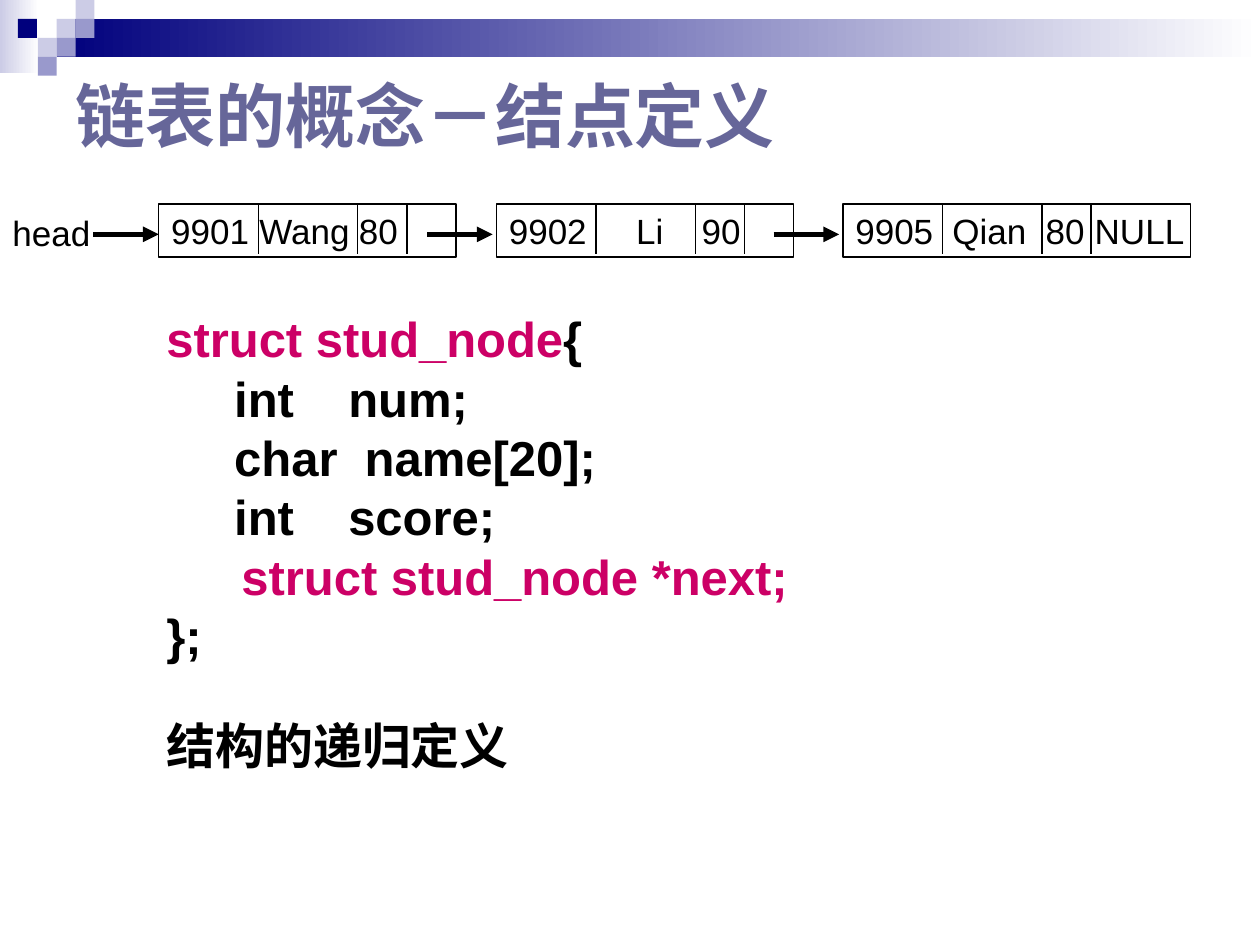
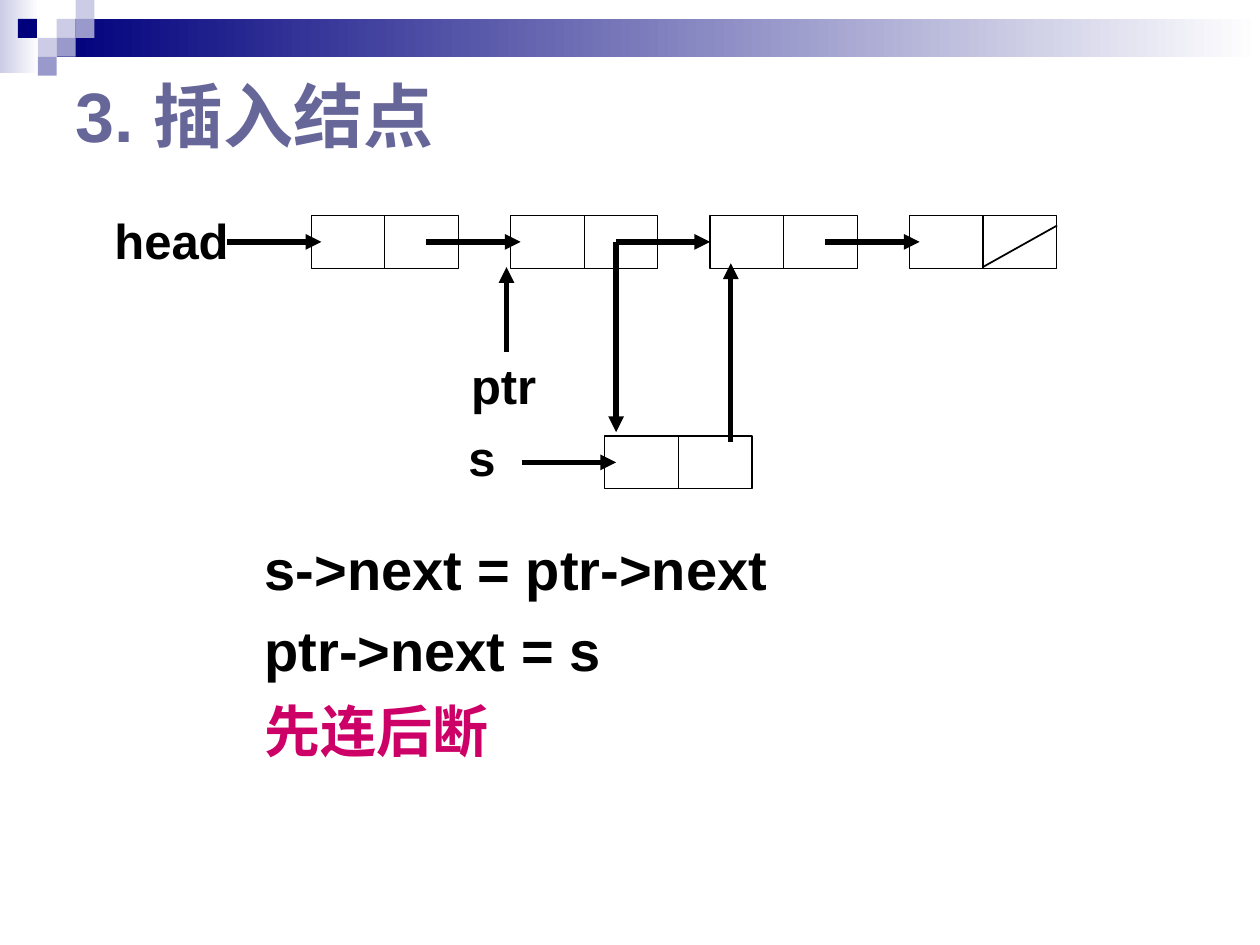
from lxml.etree import SubElement
from pptx import Presentation
from pptx.dml.color import RGBColor
from pptx.enum.shapes import MSO_CONNECTOR, MSO_SHAPE
from pptx.enum.text import MSO_ANCHOR, MSO_AUTO_SIZE, PP_ALIGN
from pptx.oxml.ns import qn
from pptx.util import Inches, Pt

COLORS = {
    "navy": "00007D", "pale": "CCCCE6", "lilac": "9999CC", "white": "FFFFFF",
    "title": "666699", "black": "000000", "accent": "CC0066",
}
FONT = "Arial"
HANGING = 3.8


def grid(units):
    """Length of grid units: the slide has 100 columns and 75 rows."""
    return Inches(units / 10)


def color(name):
    return RGBColor.from_string(COLORS[name])


class Deck:
    def __init__(self):
        self.presentation = Presentation()
        self.presentation.slide_width = grid(100)
        self.presentation.slide_height = grid(75)
        self.layout = self.presentation.slide_layouts[1]
        self.slide = None

    def start_slide(self, heading):
        first = self.slide is None
        self.slide = self.presentation.slides.add_slide(self.layout)
        if first:
            self.decorate_layout()
        title = self.slide.shapes.title
        self.place(title, 5, 5, 90, 8.1)
        title.text_frame.vertical_anchor = MSO_ANCHOR.MIDDLE
        line = title.text_frame.paragraphs[0]
        line.text = heading
        line.alignment = PP_ALIGN.LEFT
        self.style(line, 40, "title", bold=True)

    def decorate_layout(self):
        """Draw the corner mosaic and band, then move them into the layout."""
        step = 1.5
        mosaic = [(3, 1, "pale"), (4, 0, "pale"), (4, 1, "lilac"), (2, 2, "pale"),
                  (0.95, 1, "navy"), (3, 2, "lilac"), (2, 3, "lilac")]
        parts = [self.box(0, 0, 3.1, 5.8, gradient="pale"),
                 self.box(4.5, step, 95.5, 3, gradient="navy")]
        parts += [self.box(column * step, row * step, step, step, fill=tone)
                  for column, row, tone in mosaic]
        for order, part in enumerate(parts):
            part.element.nvSpPr.cNvPr.set("id", str(20 + order))
            self.layout.shapes.element.insert(2 + order, part.element)

    def place(self, placeholder, left, top, width, height):
        placeholder.left, placeholder.top = grid(left), grid(top)
        placeholder.width, placeholder.height = grid(width), grid(height)
        placeholder.text_frame.auto_size = MSO_AUTO_SIZE.NONE

    def style(self, paragraph, size, tone=None, bold=False):
        font = paragraph.font
        font.name, font.size, font.bold = FONT, Pt(size), bold
        if tone:
            font.color.rgb = color(tone)

    def body(self, lines, area, size, gaps, spacing=1.0, align=PP_ALIGN.LEFT):
        """Fill the body; each line is a list of (text, colour name) runs."""
        body = self.slide.placeholders[1]
        self.place(body, *area)
        frame = body.text_frame
        for index, (runs, gap) in enumerate(zip(lines, gaps)):
            line = frame.add_paragraph() if index else frame.paragraphs[0]
            properties = line._p.get_or_add_pPr()
            properties.set("marL", str(grid(HANGING)))
            properties.set("indent", str(-grid(HANGING)))
            SubElement(properties, qn("a:buNone"))
            line.alignment = align
            line.line_spacing = spacing
            line.space_before = Pt(gap)
            self.style(line, size, bold=True)
            for text, tone in runs:
                run = line.add_run()
                run.text = text
                run.font.color.rgb = color(tone)

    def box(self, left, top, width, height, fill=None, gradient=None):
        """Borderless when filled, otherwise a thin black outline."""
        box = self.slide.shapes.add_shape(
            MSO_SHAPE.RECTANGLE, grid(left), grid(top), grid(width), grid(height))
        box.shadow.inherit = False
        if gradient:
            box.fill.gradient()
            box.fill.gradient_angle = 0
            for stop, position, tone in zip(box.fill.gradient_stops, (0, 1), (gradient, "white")):
                stop.position = position
                stop.color.rgb = color(tone)
        elif fill:
            box.fill.solid()
            box.fill.fore_color.rgb = color(fill)
        else:
            box.fill.background()
        if fill or gradient:
            box.line.fill.background()
        else:
            box.line.color.rgb = color("black")
            box.line.width = Pt(0.75)
        return box

    def label(self, text, left, top, width, height, size, bold=False):
        label = self.slide.shapes.add_textbox(grid(left), grid(top), grid(width), grid(height))
        label.text_frame.word_wrap = False
        label.text_frame.auto_size = MSO_AUTO_SIZE.SHAPE_TO_FIT_TEXT
        line = label.text_frame.paragraphs[0]
        line.text = text
        self.style(line, size, "black", bold)

    def line(self, x1, y1, x2, y2, width=0.75):
        line = self.slide.shapes.add_connector(
            MSO_CONNECTOR.STRAIGHT, grid(x1), grid(y1), grid(x2), grid(y2))
        line.line.color.rgb = color("black")
        line.line.width = Pt(width)
        SubElement(line.element.spPr, qn("a:effectLst"))
        return line

    def arrow(self, x1, y1, x2, y2):
        arrow = self.line(x1, y1, x2, y2, width=3)
        SubElement(arrow.element.spPr.find(qn("a:ln")), qn("a:tailEnd"), type="triangle")
        return arrow

    def record(self, left, top, width, fields, stops):
        """A student record: fields at tab stops, parted by vertical lines."""
        record = self.box(left, top, width, 4.2)
        frame = record.text_frame
        frame.word_wrap = True
        frame.margin_right = 0
        frame.vertical_anchor = MSO_ANCHOR.MIDDLE
        line = frame.paragraphs[0]
        line.text = "\t".join(fields)
        line.alignment = PP_ALIGN.LEFT
        tabs = SubElement(line._p.get_or_add_pPr(), qn("a:tabLst"))
        for stop in stops:
            SubElement(tabs, qn("a:tab"), pos=str(grid(stop)), algn="l")
        self.style(line, 20, "black")
        for offset in (7.9, 15.8, 19.7):
            self.line(left + offset, top, left + offset, top + 4)

    def node(self, left, top):
        """A list node of a data cell and a link cell; returns the data cell."""
        cell = 5.84
        data = self.box(left, top, cell, 4.2)
        self.box(left + cell, top, cell, 4.2)
        return data


def build_definition(deck):
    deck.start_slide("链表的概念－结点定义")
    code = [
        [("struct stud_node", "accent"), ("{", "black")],
        [("     int    num;", "black")],
        [("     char  name[20];", "black")],
        [("     int    score;", "black")],
        [("\t  struct stud_node *next;", "accent")],
        [("};", "black")],
        [("结构的递归定义", "black")],
    ]
    deck.body(code, (12.2, 24.9, 70.9, 39.4), 28, [0] + [7] * 5 + [36], spacing=0.8)

    deck.label("head", 0, 16.3, 8.4, 4.4, 20)
    records = [
        (12.6, 23.6, ["9901", "Wang", "80"], [7, 14.9]),
        (39.4, 23.6, ["9902", "Li", "90"], [10.1, 15.3]),
        (66.9, 27.6, ["9905", "Qian", "80", "NULL"], [7.7, 15.1, 19]),
    ]
    for left, width, fields, stops in records:
        deck.record(left, 16.2, width, fields, stops)
    for start in (7.4, 33.9, 61.4):
        deck.arrow(start, 18.6, start + 5.2, 18.6)


def build_insertion(deck):
    deck.start_slide("3. 插入结点")
    steps = [
        [("s->next = ptr->next", "black")],
        [("ptr->next = s", "black")],
        [("先连后断", "accent")],
    ]
    deck.body(steps, (20, 41.9, 51.7, 22.5), 32, [0, 8, 8], align=PP_ALIGN.JUSTIFY)

    list_top, pitch, first = 17.1, 15.83, 24.7
    link_y, reach = list_top + 2.1, 7.5
    cells = [deck.node(first + i * pitch, list_top) for i in range(4)]
    deck.line(78, 21.2, 83.9, 17.9, width=1)
    for hop in (0, 1, 3):
        start = 18 + hop * pitch
        deck.arrow(start, link_y, start + reach, link_y)
    old_link = deck.arrow(48.9, link_y, 56.4, link_y)
    old_link.end_connect(cells[2], 1)

    deck.node(48, 34.6)
    deck.arrow(41.4, 36.7, 41.4 + reach, 36.7)
    deck.arrow(40.2, 27.9, 40.2, 21.2)
    deck.arrow(58, 35.1, 58, 20.9)
    deck.arrow(48.9, link_y, 48.9, 34.3)
    for name, left, top, width in (("head", 8.1, 16.2, 11.5), ("ptr", 36.4, 27.7, 7.5),
                                   ("s", 36.2, 33.4, 4.4)):
        deck.label(name, left, top, width, 5.7, 28, bold=True)


def main():
    deck = Deck()
    build_definition(deck)
    build_insertion(deck)
    deck.presentation.save("out.pptx")


if __name__ == "__main__":
    main()
